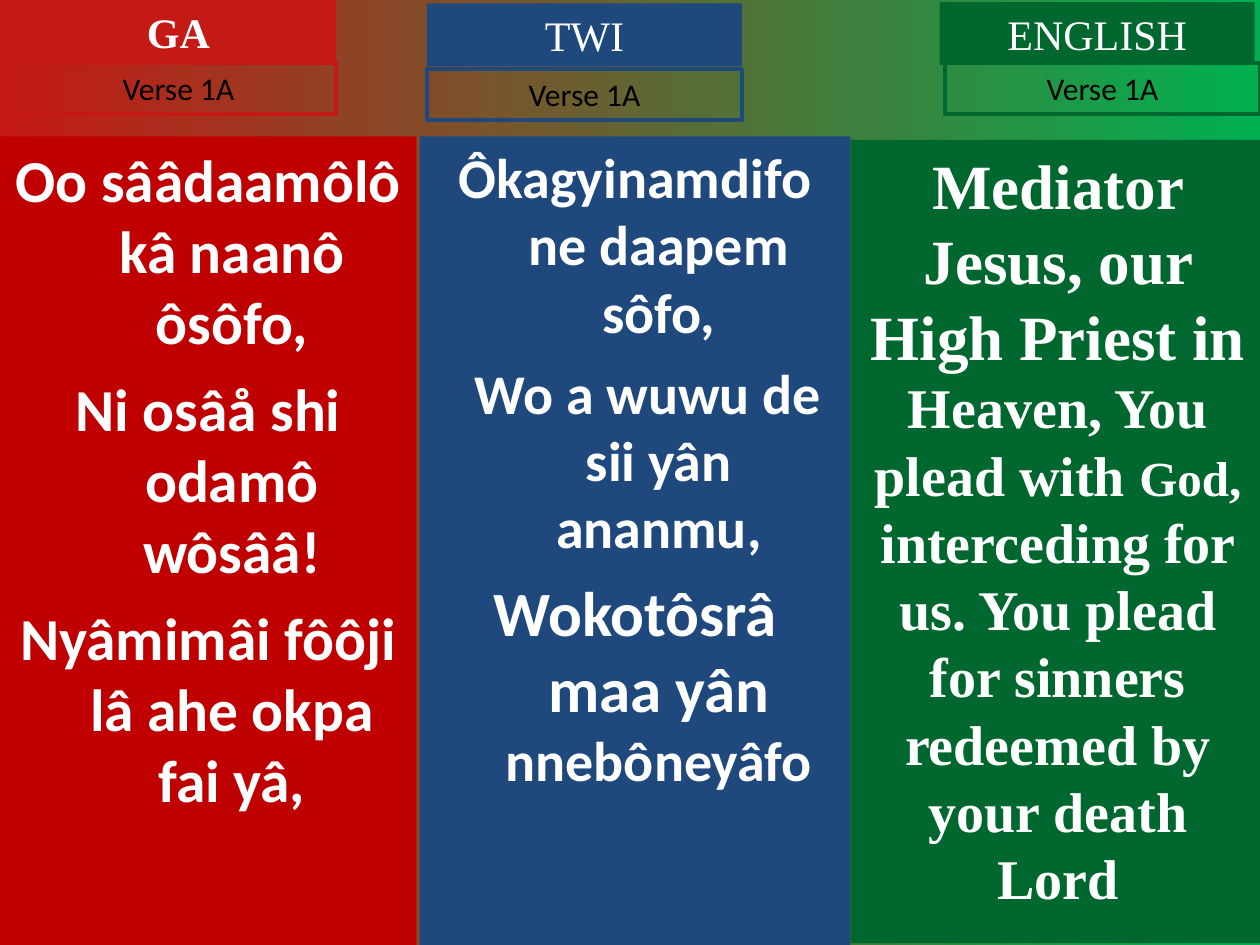
from pptx import Presentation
from pptx.dml.color import RGBColor
from pptx.enum.shapes import MSO_SHAPE
from pptx.enum.text import MSO_ANCHOR, MSO_AUTO_SIZE, PP_ALIGN
from pptx.util import Pt

SANS, SERIF = "Calibri", "Times New Roman"
WHITE, BLACK = "FFFFFF", "000000"
RED, BLUE, GREEN = "C51915", "1F497D", "00682F"
HANG = 27


def rgb(value):
    return RGBColor.from_string(value)


class Deck:
    def __init__(self, width, height):
        self.prs = Presentation()
        self.prs.slide_width, self.prs.slide_height = Pt(width), Pt(height)
        self.s = None

    def slide(self, *stops):
        """Add a blank slide with a left-to-right gradient of two colours."""
        self.s = self.prs.slides.add_slide(self.prs.slide_layouts[6])
        fill = self.s.background.fill
        fill.gradient()
        fill.gradient_angle = 0
        for stop, color in zip(fill.gradient_stops, stops):
            stop.color.rgb = rgb(color)

    def box(self, at, fill=None, line=None):
        sp = self.s.shapes.add_shape(MSO_SHAPE.RECTANGLE, *map(Pt, at))
        sp.shadow.inherit = False
        if fill:
            sp.fill.solid()
            sp.fill.fore_color.rgb = rgb(fill)
        else:
            sp.fill.background()
        if line:
            sp.line.color.rgb = rgb(line)
            sp.line.width = Pt(2.25)
        else:
            sp.line.fill.background()
        tf = sp.text_frame
        tf.word_wrap = True
        tf.vertical_anchor = MSO_ANCHOR.TOP
        return tf

    def paragraph(self, p, runs, color=WHITE, **font):
        """Fill a centred paragraph from (text, size) pairs."""
        p.alignment = PP_ALIGN.CENTER
        for text, size in runs:
            r = p.add_run()
            r.text = text
            r.font.color.rgb = rgb(color)
            for name, value in {"size": Pt(size), **font}.items():
                setattr(r.font, name, value)

    def label(self, at, text, size, fill=None, line=None, **font):
        tf = self.box(at, fill, line)
        tf.auto_size = MSO_AUTO_SIZE.SHAPE_TO_FIT_TEXT
        self.paragraph(tf.paragraphs[0], [(text, size)], **font)

    def lyrics(self, at, fill, font, verses, space=0):
        """Fill a column with (first-line indent, runs) verses."""
        tf = self.box(at, fill)
        for i, (indent, runs) in enumerate(verses):
            p = tf.add_paragraph() if i else tf.paragraphs[0]
            if i:
                p.space_before = Pt(space)
            if indent:
                pPr = p._p.get_or_add_pPr()
                pPr.set("marL", str(Pt(HANG)))
                pPr.set("indent", str(Pt(indent)))
            self.paragraph(p, runs, name=font, bold=True)


def main():
    deck = Deck(720, 540)
    deck.slide(RED, "00B050")

    deck.lyrics((0, 78, 238, 462), "C00000", SANS, [
        (-HANG, [("Oo sââdaamôlô kâ naanô ôsôfo,", 34)]),
        (-HANG, [("Ni osâå shi odamô wôsââ!", 34)]),
        (-HANG, [("Nyâmimâi fôôji lâ ahe okpa fai yâ,", 34)]),
    ], space=8.5)
    deck.lyrics((240, 78, 246, 462), BLUE, SANS, [
        (-HANG, [("Ôkagyinamdifo ne daapem sôfo,", 32)]),
        (-12.5, [("Wo a wuwu de sii yân ananmu,", 32)]),
        (-HANG, [("Wokotôsrâ maa yân ", 36), ("nnebôneyâfo", 32)]),
    ], space=8)
    deck.lyrics((486, 80, 237, 459), GREEN, SERIF, [
        (0, [("Mediator Jesus, our High Priest in ", 36),
             ("Heaven, You plead with ", 32),
             ("God, ", 28),
             ("interceding for us. You plead for sinners "
              "redeemed by your death Lord", 32)]),
    ])

    # language, colour, bold, heading left and top, verse left and top
    headings = [
        ("GA", RED, True, (12, 0), (12, 36)),
        ("TWI", BLUE, False, (244, 2), (244, 39.5)),
        ("ENGLISH", GREEN, False, (537, 1.2), (540, 36)),
    ]
    for language, color, bold, heading, verse in headings:
        deck.label((*heading, 180, 36), language, 24, fill=color,
                   name=SERIF, bold=bold)
        deck.label((*verse, 180, 29), "Verse 1A", 18, line=color,
                   color=BLACK, name=SANS)

    deck.prs.save("out.pptx")


if __name__ == "__main__":
    main()
